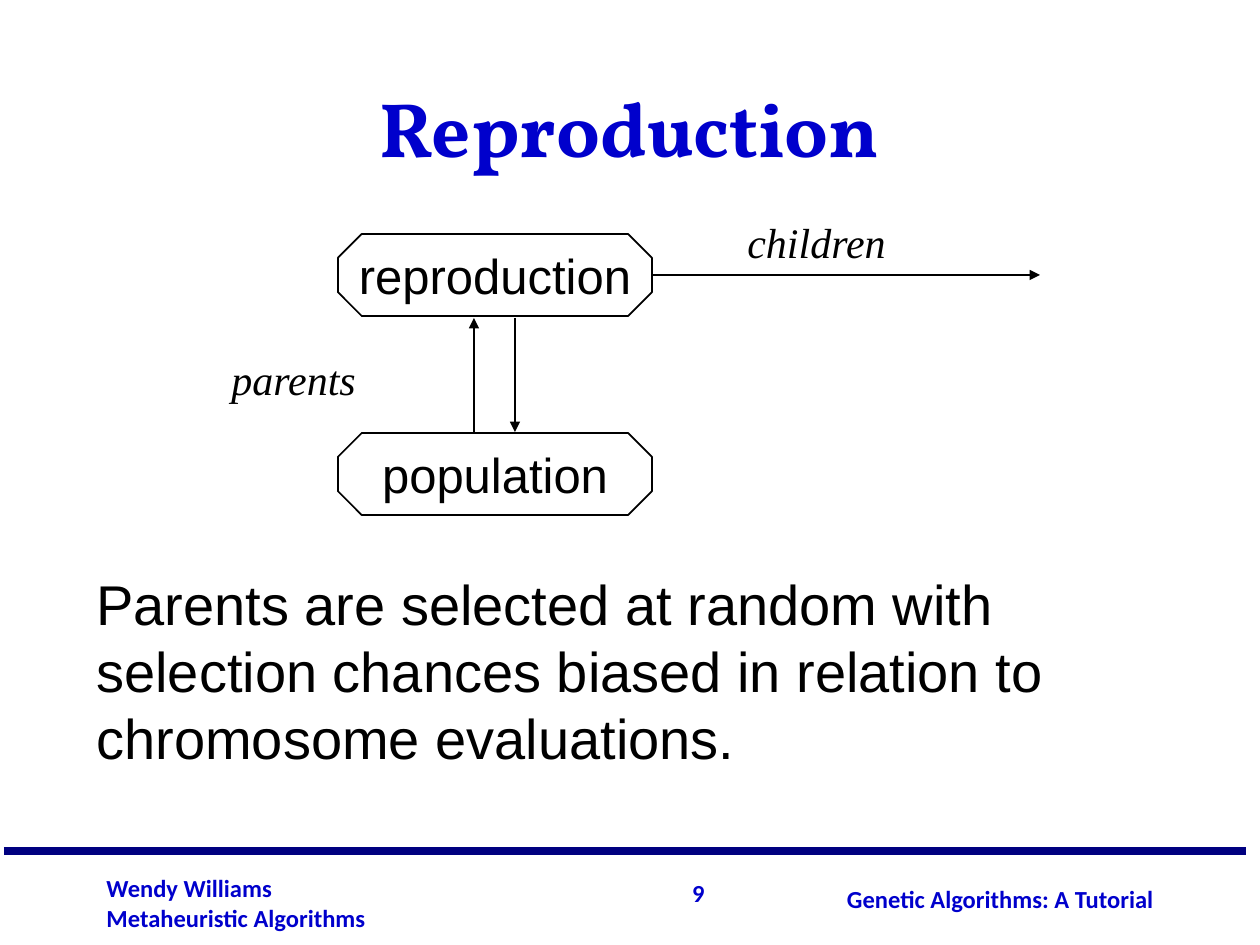
"""Build the Reproduction slide of a genetic algorithms tutorial."""
from lxml import etree
from pptx import Presentation
from pptx.dml.color import RGBColor
from pptx.enum.shapes import MSO_CONNECTOR, MSO_SHAPE
from pptx.enum.text import MSO_ANCHOR, PP_ALIGN
from pptx.oxml.ns import qn
from pptx.util import Emu, Pt

LEFT, MID, RIGHT = PP_ALIGN.LEFT, PP_ALIGN.CENTER, PP_ALIGN.RIGHT
TOP, CENTER, BOTTOM = MSO_ANCHOR.TOP, MSO_ANCHOR.MIDDLE, MSO_ANCHOR.BOTTOM
OCTAGON = MSO_SHAPE.OCTAGON
STRAIGHT = MSO_CONNECTOR.STRAIGHT
PX = 914400 / 126
COLORS = {"blue": "0000CC", "navy": "000080", "black": "000000", "white": "FFFFFF"}
RGB = {name: RGBColor.from_string(code) for name, code in COLORS.items()}

deck = Presentation()
deck.slide_width, deck.slide_height = Emu(round(1260 * PX)), Emu(round(945 * PX))
slide = deck.slides.add_slide(deck.slide_layouts[6])
shapes = slide.shapes


def write(shape, lines, size, face, color, align=LEFT, anchor=TOP,
          bold=False, slant=False, wrap=True):
    frame = shape.text_frame
    frame.word_wrap = wrap
    frame.vertical_anchor = anchor
    for i, line in enumerate(lines):
        para = frame.add_paragraph() if i else frame.paragraphs[0]
        para.alignment = align
        run = para.add_run()
        run.text = line
        font = run.font
        font.size, font.name = Pt(size), face
        font.bold, font.italic = bold, slant
        font.color.rgb = RGB[color]


def draw(ends, color, width, arrow=True):
    line = shapes.add_connector(STRAIGHT, *[Emu(round(n * PX)) for n in ends])
    line.line.color.rgb = RGB[color]
    line.line.width = Pt(width)
    if arrow:
        etree.SubElement(line.line._get_or_add_ln(), qn("a:tailEnd"), type="triangle")
    etree.SubElement(line._element.spPr, qn("a:effectLst"))
    return line


draw((4, 851, 1246, 851), "navy", 4.5, arrow=False)

blue = {"face": "Calibri", "size": 14, "color": "blue", "bold": True, "anchor": CENTER}
title = {**blue, "face": "Vollkorn", "size": 44, "align": MID, "anchor": BOTTOM}
label = {"face": "Times New Roman", "size": 24, "color": "black", "slant": True, "wrap": False}
body = {"face": "Arial", "size": 32, "color": "black"}
texts = [
    ((544, 872, 173, 42), ["9"], {**blue, "align": RIGHT}),
    ((94, 867, 473, 71), ["Wendy Williams", "Metaheuristic Algorithms"], blue),
    ((746, 878, 420, 42), ["Genetic Algorithms: A Tutorial"], {**blue, "align": RIGHT}),
    ((94, 32, 1071, 147), ["Reproduction"], title),
    ((219, 347, 151, 63), ["parents"], label),
    ((735, 210, 165, 63), ["children"], label),
    ((84, 563, 1091, 214), ["Parents are selected at random with selection chances "
                            "biased in relation to chromosome evaluations."], body),
]
for area, lines, style in texts:
    box = shapes.add_textbox(*[Emu(round(n * PX)) for n in area])
    write(box, lines, **style)

nodes = {}
for name, top in (("reproduction", 234), ("population", 433)):
    node = shapes.add_shape(OCTAGON, *[Emu(round(n * PX)) for n in (338, top, 314, 82)])
    node.adjustments[0] = 0.29
    node.shadow.inherit = False
    node.fill.solid()
    node.fill.fore_color.rgb = RGB["white"]
    node.line.color.rgb = RGB["black"]
    node.line.width = Pt(1)
    write(node, [name], 28, "Arial", "black", MID, CENTER, wrap=False)
    nodes[name] = node

child = draw((652, 275, 1040, 275), "black", 1)
child.begin_connect(nodes["reproduction"], 3)
draw((474, 432, 474, 318), "black", 1)
draw((515, 318, 515, 432), "black", 1)

deck.save("out.pptx")
